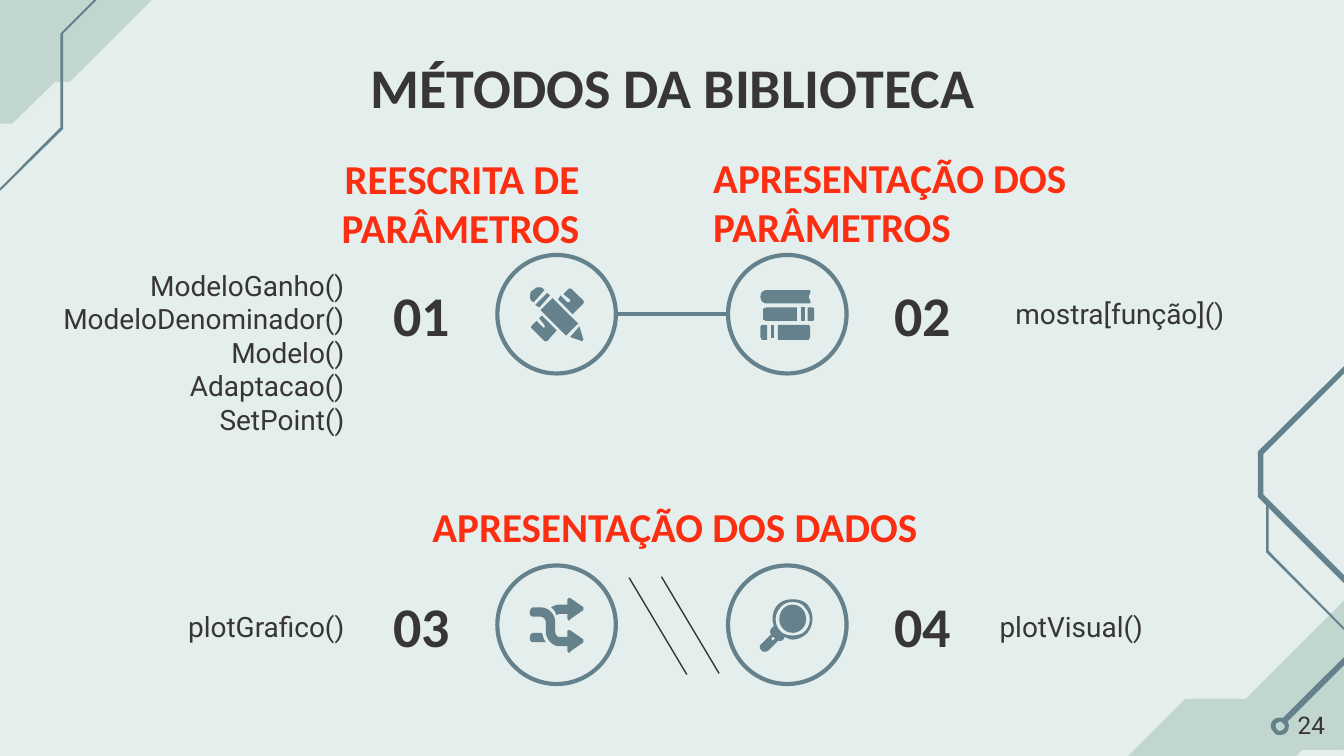
"""Build the slide that lists the library methods in four numbered blocks."""
from lxml import etree
from pptx import Presentation
from pptx import util as u
from pptx.dml.color import RGBColor
from pptx.enum import shapes, text
from pptx.oxml.ns import qn

THEME = {
    "paper": "E3EEED", "leaf": "C1D6CE", "steel": "64818C", "ink": "383536", "alert": "FC2E12",
    "title": {"name": "Calibri", "size": u.Pt(30), "bold": True},
    "heading": {"name": "Calibri", "size": u.Pt(22), "bold": True},
    "method": {"name": "Roboto", "size": u.Pt(15), "bold": False},
    "page": {"name": "Roboto", "size": u.Pt(13), "bold": False},
}
GRID = u.Cm(2.54) / 100
CURVE_STEPS = 6
INSET = u.Cm(0.25)
DIAMETER, NUMBER_WIDTH = 2.24, 2.41
COLUMNS, ROWS = (10.52, 14.88), (5.94, 11.81)
NUMBER_LEFTS = (6.76, 16.23)
LEFT, CENTER, RIGHT = text.PP_ALIGN.LEFT, text.PP_ALIGN.CENTER, text.PP_ALIGN.RIGHT
TOP, MIDDLE = text.MSO_ANCHOR.TOP, text.MSO_ANCHOR.MIDDLE

TITLE = ("MÉTODOS DA BIBLIOTECA", (2.01, 0.74, 21.41, 1.65))
HEADINGS = [
    ("REESCRITA DE PARÂMETROS", (4.04, 2.64, 7.16, 2.39), RIGHT),
    ("APRESENTAÇÃO DOS PARÂMETROS", (13.23, 2.77, 9.4, 2.08), LEFT),
    ("APRESENTAÇÃO DOS DADOS", (7.04, 9.42, 11.43, 1.04), CENTER),
]
METHODS = [
    (["ModeloGanho()", "ModeloDenominador()", "Modelo()", "Adaptacao()", "SetPoint()"],
     (0.74, 4.7, 6.02, 3.91), RIGHT),
    (["mostra[função]()"], (18.64, 5.23, 4.75, 1.4), RIGHT),
    (["plotGrafico()"], (2.01, 11.13, 4.75, 1.4), RIGHT),
    (["plotVisual()"], (18.64, 11.13, 4.75, 1.4), LEFT),
]
PAGE_NUMBER = ("24", (23.77, 13.18, 1.52, 1.09))
SLANTS = [(12.5, 10.9, 13.59, 12.73), (11.89, 10.92, 12.98, 12.75)]

CORNERS = [
    [("leaf", "M 119,-72 L 65,-18 16,-18 -94,92 9,92 41,61 52,61 185,-72"),
     ("steel", "M 121,-51 L 45,25 45,95 -12,152 -11,153 47,96 47,25 122,-50")],
    [("leaf", "M 1027,420 L 927,520 882,520 825,577 825,603 789,639 887,639 969,558 999,558 "
              "1058,499 1058,483 1121,420"),
     ("steel", "M 1218,132 L 1121,229 1043,229 1043,230 936,336 936,370 1001,435 1001,488 953,536 "
               "956,539 1005,490 1005,433 940,368 940,338 1045,233 1122,233 1123,232 1221,134"),
     ("steel", "M 942,374 L 942,411 1002,471 1003,470 944,410 944,374"),
     ("steel", "M 952,537 C 954,537 956,539 956,541 956,542 954,544 952,544 950,544 948,540 950,538 "
               "951,538 952,537 952,537 M 952,534 C 946,534 943,541 948,545 949,547 951,547 952,547 "
               "956,547 959,545 959,540 959,537 956,534 952,534")],
]
PENCIL_AND_RULER = [
    "M -7,-16 L -16,-7 -13,-5 -5,-14",
    "M 10,-19 L 9,-19 5,-15 10,-11 10,-9 8,-9 3,-14 1,-11 12,0 20,-8 20,-10 11,-19",
    "M -3,-12 L -12,-3 7,16 16,7",
    "M 17,9 L 10,17 19,20 20,19",
    "M -11,1 L -13,3 -9,8 -9,10 -10,10 -15,5 -19,9 -19,10 -9,20 -7,20 0,12",
    "M -13,-20 C -14,-20 -16,-20 -16,-19 L -19,-17 C -20,-15 -20,-12 -19,-10 "
    "L -17,-9 -9,-18 -10,-19 C -11,-20 -12,-20 -13,-20",
]
BOOKS = [
    "M -15,-18 C -18,-18 -20,-16 -20,-13 -20,-10 -18,-8 -15,-8 L 16,-8 C 17,-8 18,-9 17,-10 "
    "17,-11 16,-12 16,-13 16,-14 17,-15 17,-16 18,-17 17,-18 16,-18",
    "M 10,-5 L 10,5 13,5 13,-5",
    "M 15,-5 L 15,5 19,5 20,4 20,-4 19,-5",
    "M -16,-5 L -18,-4 -18,4 -16,5 7,5 7,-5",
    "M -12,8 L -12,18 -10,18 -10,8",
    "M -7,8 L -7,19 16,19 17,17 17,9 16,8",
    "M -19,8 L -20,9 -20,17 -19,19 -15,19 -15,8",
]
CROSSED_ARROWS = [
    "M -17,-13 C -19,-13 -20,-11 -20,-9 -20,-7 -19,-6 -17,-6 L -12,-6 C -10,-6 -8,-4 -8,-2 L -8,5 "
    "C -8,11 -3,16 2,16 L 8,16 8,19 C 8,20 9,21 10,21 L 10,20 20,13 20,11 10,4 C 9,4 8,4 8,5 "
    "L 8,9 2,9 C 0,9 -1,7 -1,5 L -1,-2 C -1,-8 -6,-13 -12,-13",
    "M -11,6 L -17,6 C -19,6 -20,8 -20,10 -20,12 -19,13 -17,13 L -8,13 C -10,11 -10,8 -11,6",
    "M 10,-20 C 9,-20 8,-19 8,-19 L 8,-15 2,-15 C 0,-15 -2,-14 -4,-13 -2,-11 -1,-10 0,-7 "
    "1,-8 2,-8 2,-8 L 8,-8 8,-5 C 8,-4 9,-3 10,-3 L 10,-4 20,-11 20,-13",
]
MAGNIFIER = [
    "M 4,-17 C 7,-17 11,-16 13,-13 18,-8 18,0 13,5 11,7 7,8 4,8 1,8 -3,7 -5,5 -10,0 -10,-8 -5,-13 "
    "-3,-16 1,-17 4,-17 M -11,9 L -9,10 -11,12 -12,10 M 4,-19 C 0,-19 -4,-18 -7,-15 "
    "-11,-11 -12,-4 -10,1 L -12,3 C -13,4 -13,6 -12,7 L -19,14 C -21,15 -21,18 -19,19 "
    "-19,20 -18,20 -17,20 -16,20 -15,20 -14,19 L -7,12 -6,12 C -5,12 -4,12 -3,11 L -2,9 "
    "C 0,10 2,11 4,11 8,11 12,9 15,6 20,0 20,-9 15,-15 12,-18 8,-19 4,-19",
    "M 4,-15 C -2,-15 -6,-10 -6,-4 -6,1 -2,6 4,6 10,6 14,1 14,-4 14,-10 10,-15 4,-15",
]
ICONS = [PENCIL_AND_RULER, BOOKS, CROSSED_ARROWS, MAGNIFIER]


def color(name):
    return RGBColor.from_string(THEME[name])


def bezier(points, t):
    weights = ((1 - t) ** 3, 3 * t * (1 - t) ** 2, 3 * t * t * (1 - t), t ** 3)
    return tuple(sum(w * point[axis] for w, point in zip(weights, points)) for axis in (0, 1))


def contours(outline, center):
    result, pending, command = [], [], ""
    for token in outline.split():
        if token in "MLC":
            command = token
            continue
        point = tuple(origin + int(value) * GRID for origin, value in zip(center, token.split(",")))
        if command == "M":
            result.append([point])
        elif command == "L":
            result[-1].append(point)
        else:
            pending.append(point)
            if len(pending) == 3:
                controls = [result[-1][-1], *pending]
                result[-1] += [bezier(controls, i / CURVE_STEPS) for i in range(1, CURVE_STEPS + 1)]
                pending = []
    return result


def draw_outline(slide, outline, fill, center=(0, 0)):
    first, *others = contours(outline, center)
    builder = slide.shapes.build_freeform(*first[0])
    builder.add_line_segments(first[1:], close=True)
    for contour in others:
        builder.move_to(*contour[0])
        builder.add_line_segments(contour[1:], close=True)
    shape = builder.convert_to_shape()
    shape.shadow.inherit = False
    shape.fill.solid()
    shape.fill.fore_color.rgb = color(fill)
    shape.line.fill.background()
    return shape


def write(shape, lines, box, style, ink="ink", align=CENTER, anchor=MIDDLE):
    shape.left, shape.top, shape.width, shape.height = map(u.Cm, box)
    frame = shape.text_frame
    frame_format = {"word_wrap": True, "auto_size": text.MSO_AUTO_SIZE.NONE, "vertical_anchor": anchor}
    frame_format |= {f"margin_{side}": INSET for side in ("left", "right", "top", "bottom")}
    for name, value in frame_format.items():
        setattr(frame, name, value)
    frame.text = "\n".join(lines)
    for paragraph in frame.paragraphs:
        paragraph.alignment = align
        paragraph.line_spacing = 1.0
        paragraph.space_before = paragraph.space_after = u.Pt(0)
        properties = paragraph._p.get_or_add_pPr()
        properties.set("marL", "0")
        properties.set("indent", "0")
        etree.SubElement(properties, qn("a:buNone"))
        font = paragraph.runs[0].font
        font.color.rgb = color(ink)
        for name, value in THEME[style].items():
            setattr(font, name, value)


def write_box(slide, line, box, *args, **kwargs):
    write(slide.shapes.add_textbox(*map(u.Cm, box)), [line], box, *args, **kwargs)


def draw_line(slide, ends, ink, width):
    connector = slide.shapes.add_connector(shapes.MSO_CONNECTOR.STRAIGHT, *map(u.Cm, ends))
    connector.line.color.rgb = color(ink)
    connector.line.width = u.Pt(width)
    etree.SubElement(connector._element.spPr, qn("a:effectLst"))


def draw_station(slide, index, icon):
    row, column = divmod(index, 2)
    x, y = COLUMNS[column], ROWS[row]
    top = y - DIAMETER / 2
    circle = slide.shapes.add_shape(
        shapes.MSO_SHAPE.OVAL, *map(u.Cm, (x - DIAMETER / 2, top, DIAMETER, DIAMETER)))
    circle.shadow.inherit = False
    circle.fill.background()
    circle.line.color.rgb = color("steel")
    circle.line.width = u.Pt(2.25)
    slide.shapes.add_group_shape(
        [draw_outline(slide, part, "steel", (u.Cm(x), u.Cm(y))) for part in icon])
    write_box(slide, f"{index + 1:02}", (NUMBER_LEFTS[column], top, NUMBER_WIDTH, DIAMETER), "title")


def main():
    presentation = Presentation()
    presentation.slide_width, presentation.slide_height = u.Cm(25.4), u.Cm(14.29)
    slide = presentation.slides.add_slide(presentation.slide_layouts.get_by_name("Comparison"))
    slide.background.fill.solid()
    slide.background.fill.fore_color.rgb = color("paper")
    for corner in CORNERS:
        slide.shapes.add_group_shape([draw_outline(slide, outline, fill) for fill, outline in corner])
    title, *bodies = slide.placeholders
    write(title, [TITLE[0]], TITLE[1], "title", anchor=TOP)
    for body, (lines, box, align) in zip(bodies, METHODS):
        write(body, lines, box, "method", align=align)
    for heading, box, align in HEADINGS:
        write_box(slide, heading, box, "heading", "alert", align)
    for index, icon in enumerate(ICONS):
        draw_station(slide, index, icon)
    radius = DIAMETER / 2
    draw_line(slide, (COLUMNS[0] + radius, ROWS[0], COLUMNS[1] - radius, ROWS[0]), "steel", 2.25)
    for ends in SLANTS:
        draw_line(slide, ends, "ink", 0.75)
    write_box(slide, *PAGE_NUMBER, "page", align=RIGHT, anchor=TOP)
    presentation.save("out.pptx")


if __name__ == "__main__":
    main()
